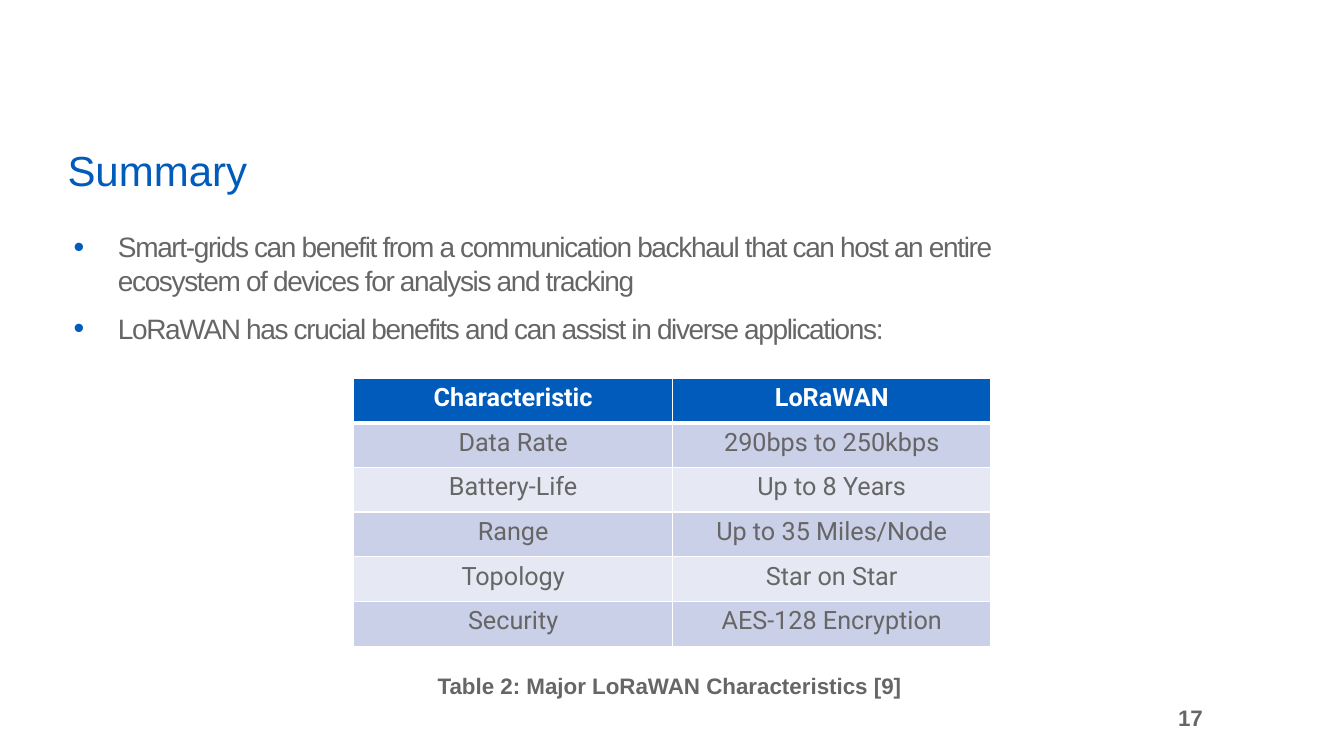
from dataclasses import dataclass

import lxml.etree
import pptx
import pptx.dml.color
import pptx.enum.text
import pptx.oxml.ns
import pptx.util

SLIDE_WIDTH = pptx.util.Inches(13.33)
SLIDE_HEIGHT = pptx.util.Inches(7.5)
BLUE, GRAY, WHITE = "005BBB", "666666", "FFFFFF"
BANDS = ("CAD0E7", "E6E9F3")
ALIGN = pptx.enum.text.PP_ALIGN
ANCHOR = pptx.enum.text.MSO_ANCHOR

BULLETS = (
    "Smart-grids can benefit from a communication backhaul that can host an entire "
    "ecosystem of devices for analysis and tracking",
    "LoRaWAN has crucial benefits and can assist in diverse applications:",
)
CHARACTERISTICS = (
    ("Characteristic", "LoRaWAN"),
    ("Data Rate", "290bps to 250kbps"),
    ("Battery-Life", "Up to 8 Years"),
    ("Range", "Up to 35 Miles/Node"),
    ("Topology", "Star on Star"),
    ("Security", "AES-128 Encryption"),
)


@dataclass(frozen=True)
class Area:
    """A rectangle in percent of the slide's width and height."""
    left: float
    top: float
    width: float
    height: float

    def lengths(self) -> tuple[int, int, int, int]:
        return (
            round(SLIDE_WIDTH * self.left / 100),
            round(SLIDE_HEIGHT * self.top / 100),
            round(SLIDE_WIDTH * self.width / 100),
            round(SLIDE_HEIGHT * self.height / 100),
        )


@dataclass(frozen=True)
class Style:
    size: float
    color: str
    bold: bool = False
    name: str = "Arial"


@dataclass(frozen=True)
class Label:
    text: str
    area: Area
    align: ALIGN
    anchor: ANCHOR
    inset: float
    wrap: bool


TITLE_AREA = Area(4.65, 19.2, 86.27, 10.4)
BODY_AREA = Area(4.65, 29.73, 75.09, 17.6)
TABLE_AREA = Area(26.33, 50, 47.41, 35.47)
LABELS = (
    Label("Table 2: Major LoRaWAN Characteristics [9]",
          Area(32.18, 88.27, 35.71, 4.53), ALIGN.LEFT, ANCHOR.TOP, 0.05, True),
    Label("17", Area(87.1, 92.4, 2.93, 5.07), ALIGN.RIGHT, ANCHOR.MIDDLE, 0.07, False),
)


def rgb(color: str) -> pptx.dml.color.RGBColor:
    return pptx.dml.color.RGBColor.from_string(color)


def add_element(parent, tag: str, **attributes: str):
    return lxml.etree.SubElement(parent, pptx.oxml.ns.qn(tag), attributes)


def style_runs(para, style: Style) -> None:
    for span in para.runs:
        span.font.size = pptx.util.Pt(style.size)
        span.font.name = style.name
        span.font.bold = style.bold
        span.font.color.rgb = rgb(style.color)


def place(box, area: Area) -> None:
    box.left, box.top, box.width, box.height = area.lengths()


def set_frame(frame, inset: float, anchor: ANCHOR, wrap: bool = True) -> None:
    frame.margin_left = frame.margin_right = pptx.util.Inches(inset)
    frame.margin_top = frame.margin_bottom = pptx.util.Inches(inset)
    frame.vertical_anchor = anchor
    frame.word_wrap = wrap
    frame.auto_size = pptx.enum.text.MSO_AUTO_SIZE.NONE


def add_bullet(para) -> None:
    properties = para._p.get_or_add_pPr()
    properties.set("marL", str(pptx.util.Inches(0.5)))
    properties.set("indent", str(pptx.util.Inches(-0.44)))
    add_element(add_element(properties, "a:buClr"), "a:srgbClr", val=BLUE)
    add_element(properties, "a:buSzPct", val="109000")
    add_element(properties, "a:buFont", typeface="Arial")
    add_element(properties, "a:buChar", char="•")


def fill_title(title) -> None:
    place(title, TITLE_AREA)
    title.text_frame.text = "Summary"
    set_frame(title.text_frame, 0.05, ANCHOR.TOP)
    para = title.text_frame.paragraphs[0]
    para.alignment = ALIGN.LEFT
    para.line_spacing = 0.9
    style_runs(para, Style(30, BLUE))


def fill_body(body) -> None:
    place(body, BODY_AREA)
    body.text_frame.text = "\n".join(BULLETS)
    set_frame(body.text_frame, 0.05, ANCHOR.TOP)
    for index, para in enumerate(body.text_frame.paragraphs):
        add_bullet(para)
        para.space_before = pptx.util.Pt(10 if index else 0)
        style_runs(para, Style(20, GRAY))
        for span in para.runs:
            span.font._element.set("spc", "-100")


def add_borders(cell, row: int) -> None:
    """Draw white cell edges, thicker between the header and the data."""
    thick_side = {0: "B", 1: "T"}.get(row)
    for side in "LRTB":
        width = pptx.util.Pt(3 if side == thick_side else 1)
        line = add_element(cell._tc.get_or_add_tcPr(), f"a:ln{side}", w=str(width))
        add_element(add_element(line, "a:solidFill"), "a:srgbClr", val=WHITE)


def add_characteristics(slide) -> None:
    row_count, column_count = len(CHARACTERISTICS), len(CHARACTERISTICS[0])
    table = slide.shapes.add_table(row_count, column_count, *TABLE_AREA.lengths()).table
    table.horz_banding = False
    for row, texts in enumerate(CHARACTERISTICS):
        header = row == 0
        style = Style(18, WHITE if header else GRAY, header, "Roboto")
        for column, text in enumerate(texts):
            cell = table.cell(row, column)
            add_borders(cell, row)
            cell.fill.solid()
            cell.fill.fore_color.rgb = rgb(BLUE if header else BANDS[(row - 1) % 2])
            cell.margin_left = cell.margin_right = pptx.util.Inches(0.05)
            cell.margin_top = cell.margin_bottom = pptx.util.Inches(0.05)
            cell.text_frame.text = text
            para = cell.text_frame.paragraphs[0]
            para.alignment = ALIGN.CENTER
            style_runs(para, style)


def add_label(slide, label: Label) -> None:
    frame = slide.shapes.add_textbox(*label.area.lengths()).text_frame
    frame.text = label.text
    set_frame(frame, label.inset, label.anchor, label.wrap)
    frame.paragraphs[0].alignment = label.align
    style_runs(frame.paragraphs[0], Style(16, GRAY, True))


def main() -> None:
    deck = pptx.Presentation()
    deck.slide_width, deck.slide_height = SLIDE_WIDTH, SLIDE_HEIGHT
    page = deck.slides.add_slide(deck.slide_layouts[1])
    fill_title(page.shapes.title)
    fill_body(page.placeholders[1])
    add_characteristics(page)
    for label in LABELS:
        add_label(page, label)
    deck.save("out.pptx")


if __name__ == "__main__":
    main()
